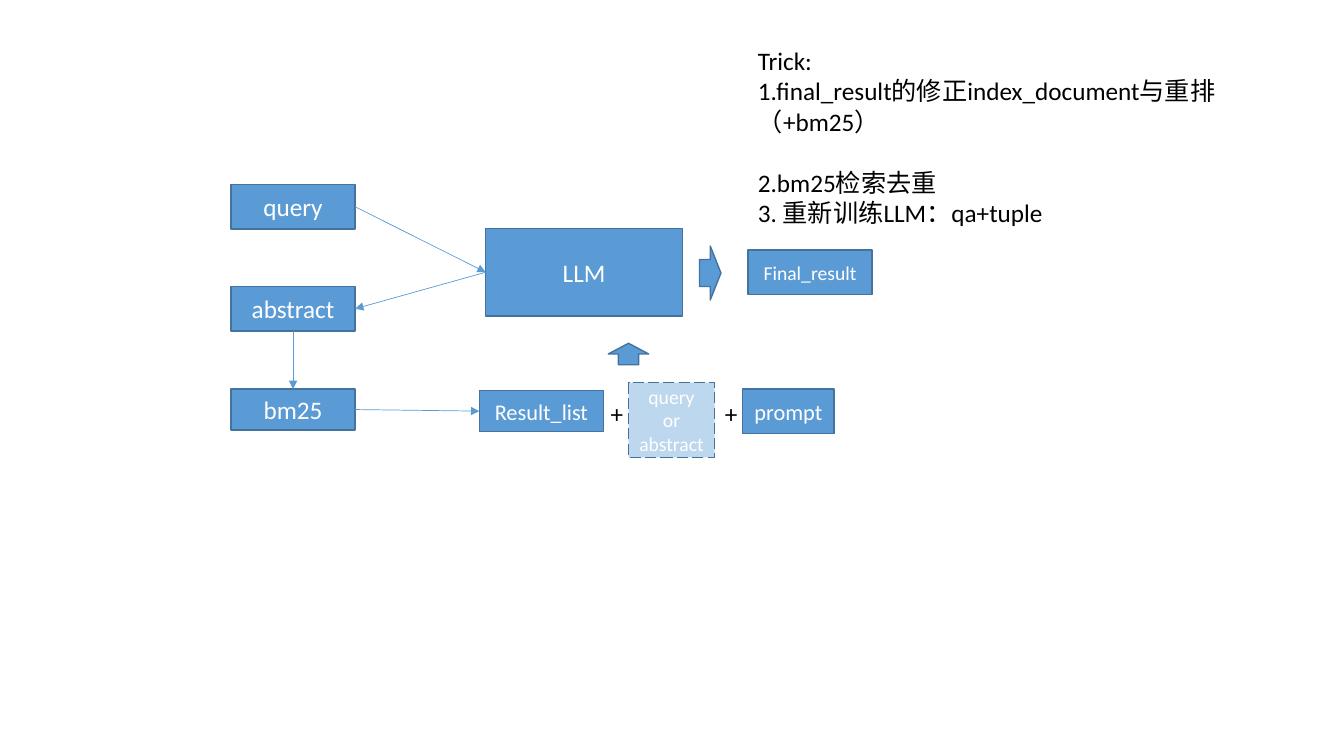
import pptx
import pptx.util
import pptx.dml.color
import pptx.enum.dml
import pptx.enum.shapes
import pptx.enum.text
import pptx.oxml

Cm, Pt = pptx.util.Cm, pptx.util.Pt
KIND = pptx.enum.shapes.MSO_SHAPE
ALIGN = pptx.enum.text.PP_ALIGN
ANCHOR = pptx.enum.text.MSO_ANCHOR
DASH = pptx.enum.dml.MSO_LINE

# Content: lengths in cm, sizes in points
HUES = {"fill": "5B9BD5", "pale": "BDD7EE", "edge": "43739E",
        "white": "FFFFFF", "black": "000000"}
FONT = "Calibri"
LEFT, WIDE, HIGH = 5.82, 3.13, 1.12   # left column and usual box size

BOXES = {  # name: (lines, left, top, width, height, size)
    "llm": (["LLM"], 12.24, 5.76, 4.96, 2.2, 18),
    "query": (["query"], LEFT, 4.65, WIDE, HIGH, 18),
    "abstract": (["abstract"], LEFT, 7.22, WIDE, HIGH, 18),
    "bm25": (["bm25"], LEFT, 9.8, WIDE, 1.04, 18),
    "list": (["Result_list"], 12.08, 9.84, WIDE, 1.04, 16),
    "either": (["query or", "abstract"], 15.84, 9.64, 2.17, 1.89, 14),
    "prompt": (["prompt"], 18.72, 9.8, 2.3, HIGH, 16),
    "final": (["Final_result"], 18.85, 6.3, WIDE, HIGH, 14),
}
TOP, SIDE, BASE, RIGHT = range(4)     # connection sites of a rectangle
LINKS = [("query", RIGHT, "llm", SIDE), ("llm", SIDE, "abstract", RIGHT),
         ("abstract", BASE, "bm25", TOP), ("bm25", RIGHT, "list", SIDE)]
ARROWS = [(15.57, 8.41, 0.54, 1.02, 270), (17.63, 6.2, 0.54, 1.36, 0)]
PLUSES = [15.14, 18.02]
NOTES = ["Trick:", "1.final_result的修正index_document与重排（+bm25）",
         "2.bm25检索去重", "3. 重新训练LLM：qa+tuple"]
GAPS = {2: 22}                        # space before a note, in points


def hue(name):
    return pptx.dml.color.RGBColor.from_string(HUES[name])


def style(item, form):
    for key, val in form.items():
        setattr(item, key, val)


def write(shape, lines, size, tint, align, gaps={}):
    frame = shape.text_frame
    for i, line in enumerate(lines):
        para = frame.paragraphs[0] if i == 0 else frame.add_paragraph()
        para.text = line
        style(para, {"alignment": align, "space_before": Pt(gaps.get(i, 0))})
        style(para.font, {"size": Pt(size), "name": FONT})
        para.font.color.rgb = hue(tint)


def draw(kind, left, top, wide, high, fill="fill"):
    shape = slide.shapes.add_shape(kind, Cm(left), Cm(top), Cm(wide), Cm(high))
    shape.shadow.inherit = False
    shape.fill.solid()
    shape.fill.fore_color.rgb = hue(fill)
    shape.line.color.rgb = hue("edge")
    shape.line.width = Pt(1)
    return shape


def label(lines, left, top, wide, high, wrap, gaps={}):
    area = slide.shapes.add_textbox(Cm(left), Cm(top), Cm(wide), Cm(high))
    area.text_frame.word_wrap = wrap
    write(area, lines, 18, "black", ALIGN.LEFT, gaps)


deck = pptx.Presentation()
style(deck, {"slide_width": Cm(33.87), "slide_height": Cm(19.05)})
slide = deck.slides.add_slide(deck.slide_layouts[6])

# Boxes
made = {}
for name, (lines, *place, size) in BOXES.items():
    box = draw(KIND.RECTANGLE, *place, "pale" if name == "either" else "fill")
    style(box.text_frame, {"word_wrap": True, "vertical_anchor": ANCHOR.MIDDLE})
    write(box, lines, size, "white", ALIGN.CENTER)
    made[name] = box
made["either"].line.dash_style = DASH.LONG_DASH

# Links between boxes
for start, out, end, into in LINKS:
    link = slide.shapes.add_connector(
        pptx.enum.shapes.MSO_CONNECTOR.STRAIGHT, 0, 0, 0, 0)
    link.begin_connect(made[start], out)
    link.end_connect(made[end], into)
    link.line.color.rgb = hue("fill")
    link.line.width = Pt(0.5)
    head = pptx.oxml.parse_xml(
        '<a:tailEnd xmlns:a="http://schemas.openxmlformats.org/drawingml/2006/main"'
        ' type="triangle"/>')
    link.line._get_or_add_ln().append(head)
    head.getparent().addnext(pptx.oxml.parse_xml(
        '<a:effectLst xmlns:a="http://schemas.openxmlformats.org/drawingml/2006/main"/>'))

# Block arrows
for *place, turn in ARROWS:
    draw(KIND.RIGHT_ARROW, *place).rotation = turn

# Plus signs and notes
for left in PLUSES:
    label(["+"], left, 9.91, 0.84, 1.02, False)
label(NOTES, 18.85, 1.02, 14.7, 4.9, True, GAPS)

deck.save("out.pptx")
